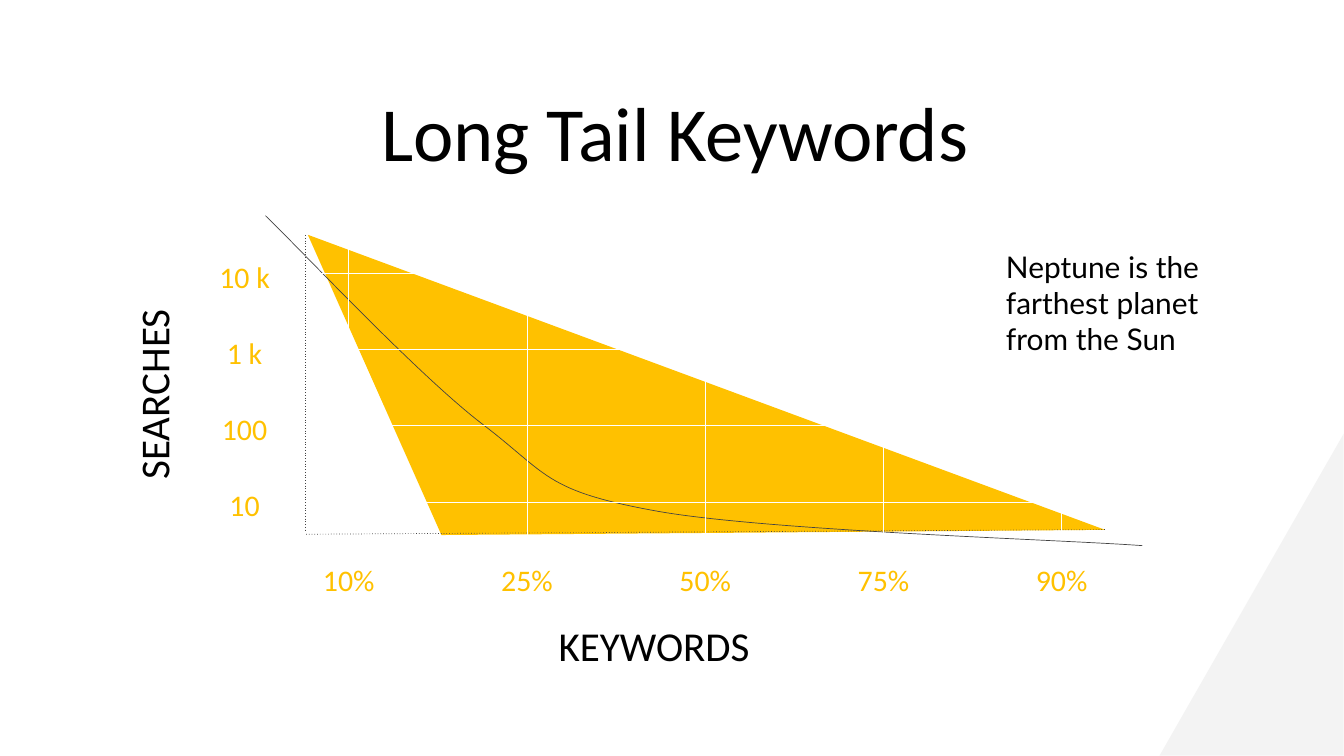
from dataclasses import dataclass

from lxml import etree
from pptx import Presentation
from pptx.dml.color import RGBColor
from pptx.enum.shapes import MSO_CONNECTOR, MSO_SHAPE
from pptx.enum.text import MSO_ANCHOR, MSO_AUTO_SIZE, PP_ALIGN
from pptx.oxml.ns import qn
from pptx.util import Inches, Pt

STRAIGHT = MSO_CONNECTOR.STRAIGHT
RIGHT_TRIANGLE, TRIANGLE = MSO_SHAPE.RIGHT_TRIANGLE, MSO_SHAPE.ISOSCELES_TRIANGLE
NO_AUTO_SIZE = MSO_AUTO_SIZE.NONE
TOP, MIDDLE = MSO_ANCHOR.TOP, MSO_ANCHOR.MIDDLE
LEFT, CENTER = PP_ALIGN.LEFT, PP_ALIGN.CENTER


@dataclass(frozen=True)
class Theme:
    ink: str = "000000"
    accent: str = "FFC100"
    axis: str = "434343"
    grid: str = "FFFFFF"
    corner: str = "F3F3F3"
    font: str = "Calibri"
    note_font: str = "Lato"
    title_size: int = 82
    axis_size: int = 44
    label_size: int = 32
    line_width: float = 0.75
    inset: float = 0.2


@dataclass(frozen=True)
class Box:
    left: float
    top: float
    width: float
    height: float

    def lengths(self) -> list:
        return [Inches(v) for v in (self.left, self.top, self.width, self.height)]


@dataclass(frozen=True)
class Style:
    size: int
    color: str
    font: str
    align: PP_ALIGN = CENTER
    anchor: MSO_ANCHOR = MIDDLE
    spacing: float = 1.15
    space_after: int = 0


@dataclass(frozen=True)
class Grid:
    left: float = 5.19
    right: float = 15.8
    top: float = 4.07
    bottom: float = 7.47
    columns: int = 5
    rows: int = 4

    def x(self, column: int) -> float:
        return self.left + column * (self.right - self.left) / (self.columns - 1)

    def y(self, row: int) -> float:
        return self.top + row * (self.bottom - self.top) / (self.rows - 1)


THEME = Theme()
GRID = Grid()
TICK = Style(THEME.label_size, THEME.accent, THEME.font)
AXIS_NAME = Style(THEME.axis_size, THEME.ink, THEME.font)
TITLE = Style(THEME.title_size, THEME.ink, THEME.font, anchor=TOP, spacing=1)
NOTE = Style(THEME.label_size, THEME.ink, THEME.note_font, LEFT, TOP, 1, 32)

SEARCHES = ("10 k", "1 k", "100", "10")
KEYWORDS = ("10%", "25%", "50%", "75%", "90%")
LABEL_HEIGHT = 0.98
ROW_LABEL_LEFT, ROW_LABEL_WIDTH = 3, 1.28
COLUMN_LABEL_TOP, COLUMN_LABEL_WIDTH = 8.1, 1.74
ROW_LINE_LEFT, ROW_LINE_LENGTH, TOP_LINE_SHIFT = 4.55, 12.07, 0.16
COLUMN_LINE_TOP, COLUMN_LINE_BOTTOM = 3.39, 8.03
# Start point, then two control points and an end point for each cubic piece
CURVE = (
    (3.95, 3.21),
    (4.49, 3.73), (6.23, 5.59), (7.19, 6.32),
    (8.16, 7.06), (8.1, 7.3), (9.74, 7.6),
    (11.37, 7.9), (15.79, 8.03), (17, 8.12),
)


def rgb(color: str) -> RGBColor:
    return RGBColor.from_string(color)


def write(shape, text: str, style: Style) -> None:
    frame = shape.text_frame
    frame.word_wrap = True
    frame.auto_size = NO_AUTO_SIZE
    frame.vertical_anchor = style.anchor
    frame.margin_left = frame.margin_right = Inches(THEME.inset)
    frame.margin_top = frame.margin_bottom = Inches(THEME.inset)
    paragraph = frame.paragraphs[0]
    paragraph.alignment = style.align
    paragraph.line_spacing = style.spacing
    paragraph.space_before = Pt(0)
    paragraph.space_after = Pt(style.space_after)
    run = paragraph.add_run()
    run.text = text
    run.font.name = style.font
    run.font.size = Pt(style.size)
    run.font.color.rgb = rgb(style.color)


def add_label(slide, text: str, box: Box, style: Style, rotation: float = 0) -> None:
    shape = slide.shapes.add_textbox(*box.lengths())
    shape.rotation = rotation
    write(shape, text, style)


def fill_placeholder(shape, text: str, box: Box, style: Style) -> None:
    shape.left, shape.top, shape.width, shape.height = box.lengths()
    write(shape, text, style)


def remove_bullet(paragraph) -> None:
    properties = paragraph._p.get_or_add_pPr()
    properties.set("marL", "0")
    properties.set("indent", "0")
    etree.SubElement(properties, qn("a:buNone"))


def bring_to_front(slide, shape) -> None:
    slide.shapes._spTree.append(shape._element)


def add_triangle(slide, kind: MSO_SHAPE, box: Box, rotation: float, color: str):
    shape = slide.shapes.add_shape(kind, *box.lengths())
    shape.shadow.inherit = False
    shape.rotation = rotation
    shape.fill.solid()
    shape.fill.fore_color.rgb = rgb(color)
    shape.line.fill.background()
    return shape


def add_line(slide, start: tuple, end: tuple, color: str, dotted: bool = False) -> None:
    points = [Inches(v) for v in (*start, *end)]
    connector = slide.shapes.add_connector(STRAIGHT, *points)
    connector.line.color.rgb = rgb(color)
    connector.line.width = Pt(THEME.line_width)
    properties = connector._element.spPr
    if dotted:
        etree.SubElement(properties.find(qn("a:ln")), qn("a:prstDash"), val="dot")
    etree.SubElement(properties, qn("a:effectLst"))


def add_curve(slide, points: tuple) -> None:
    """Draw a freeform through the points, then join each three into one cubic."""
    # The builder keeps whole numbers only, so it works in hundredths of an inch
    start, *rest = [(round(x * 100), round(y * 100)) for x, y in points]
    builder = slide.shapes.build_freeform(*start, scale=Inches(0.01))
    builder.add_line_segments(rest, close=False)
    shape = builder.convert_to_shape()
    shape.shadow.inherit = False
    shape.fill.background()
    shape.line.color.rgb = rgb(THEME.axis)
    shape.line.width = Pt(THEME.line_width)
    segments = list(shape._element.iter(qn("a:lnTo")))
    outline = segments[0].getparent()
    for first in range(0, len(segments), 3):
        cubic = etree.SubElement(outline, qn("a:cubicBezTo"))
        for segment in segments[first:first + 3]:
            cubic.append(segment[0])
            outline.remove(segment)


def main() -> None:
    presentation = Presentation()
    presentation.slide_width, presentation.slide_height = Inches(20), Inches(11.25)
    slide = presentation.slides.add_slide(presentation.slide_layouts[1])
    fill_placeholder(slide.shapes.title, "Long Tail Keywords",
                     Box(1.18, 1.07, 17.72, 1.25), TITLE)
    note = slide.placeholders[1]
    remove_bullet(note.text_frame.paragraphs[0])
    fill_placeholder(note, "Neptune is the farthest planet from the Sun",
                     Box(14.77, 3.5, 3.59, 2.11), NOTE)

    add_triangle(slide, RIGHT_TRIANGLE, Box(16.23, 7.48, 4.79, 2.74), 270, THEME.corner)
    tail = add_triangle(slide, TRIANGLE, Box(3.58, 5.58, 12.65, 3.5), 200.3, THEME.accent)
    tail.adjustments[0] = 0.73
    add_line(slide, (4.55, 3.5), (4.55, 7.92), THEME.axis, dotted=True)
    add_line(slide, (16.44, 7.88), (4.54, 7.95), THEME.axis, dotted=True)
    add_curve(slide, CURVE)

    for row, text in enumerate(SEARCHES):
        y = GRID.y(row)
        left = ROW_LINE_LEFT - (TOP_LINE_SHIFT if row == 0 else 0)
        add_line(slide, (left, y), (left + ROW_LINE_LENGTH, y), THEME.grid)
        add_label(slide, text, Box(ROW_LABEL_LEFT, y - LABEL_HEIGHT / 2,
                                   ROW_LABEL_WIDTH, LABEL_HEIGHT), TICK)
    for column, text in enumerate(KEYWORDS):
        x = GRID.x(column)
        add_line(slide, (x, COLUMN_LINE_TOP), (x, COLUMN_LINE_BOTTOM), THEME.grid)
        add_label(slide, text, Box(x - COLUMN_LABEL_WIDTH / 2, COLUMN_LABEL_TOP,
                                   COLUMN_LABEL_WIDTH, LABEL_HEIGHT), TICK)

    add_label(slide, "SEARCHES", Box(0.01, 5.38, 4.42, LABEL_HEIGHT), AXIS_NAME, 270)
    add_label(slide, "KEYWORDS", Box(7.08, 9.06, 5.31, LABEL_HEIGHT), AXIS_NAME)
    bring_to_front(slide, note)
    presentation.save("out.pptx")


if __name__ == "__main__":
    main()
